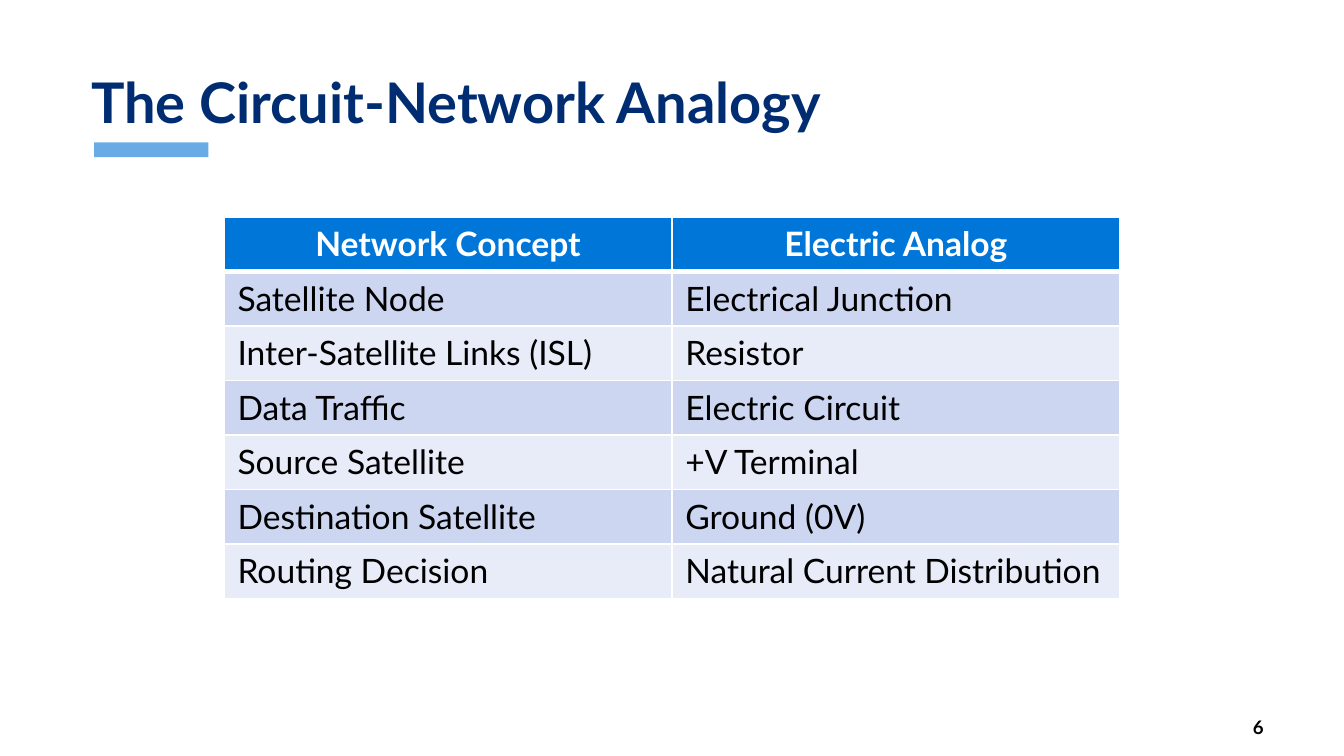
"""Build a slide with a table that maps network concepts to electric analogs."""
from lxml import etree
from pptx import Presentation
from pptx import util as u
from pptx.dml.color import RGBColor
from pptx.enum import shapes, text
from pptx.oxml import ns

TITLE = "The Circuit-Network Analogy"
PAGE_NUMBER = "6"
ROWS = [
    ("Network Concept", "Electric Analog"),
    ("Satellite Node", "Electrical Junction"),
    ("Inter-Satellite Links (ISL)", "Resistor"),
    ("Data Traffic", "Electric Circuit"),
    ("Source Satellite", "+V Terminal"),
    ("Destination Satellite", "Ground (0V)"),
    ("Routing Decision", "Natural Current Distribution"),
]

FONT = "Lato"
NAVY = RGBColor(0x00, 0x2D, 0x72)
SKY = RGBColor(0x69, 0xAC, 0xE5)
HEADER_BLUE = RGBColor(0x00, 0x77, 0xD8)
BANDS = (RGBColor(0xCC, 0xD6, 0xF0), RGBColor(0xE7, 0xEC, 0xF8))
WHITE = RGBColor(0xFF, 0xFF, 0xFF)
BLACK = RGBColor(0x00, 0x00, 0x00)

SLIDE_WIDTH, SLIDE_HEIGHT = u.Cm(25.4), u.Cm(14.29)
TABLE_TOP, TABLE_WIDTH, ROW_HEIGHT = u.Cm(4.1), u.Cm(16.93), u.Cm(1.03)


def write(frame, content, size=18, color=BLACK, bold=False,
          align=text.PP_ALIGN.LEFT, anchor=text.MSO_ANCHOR.TOP, spacing=1.0):
    frame.text = content
    frame.vertical_anchor = anchor
    paragraph = frame.paragraphs[0]
    paragraph.alignment = align
    paragraph.line_spacing = spacing
    font = paragraph.runs[0].font
    font.name, font.size, font.bold = FONT, u.Pt(size), bold
    font.color.rgb = color


def set_borders(cell, widths):
    properties = cell._tc.get_or_add_tcPr()
    for side, width in widths.items():
        line = etree.SubElement(properties, ns.qn(f"a:ln{side}"), w=str(u.Pt(width)))
        fill = etree.SubElement(line, ns.qn("a:solidFill"))
        etree.SubElement(fill, ns.qn("a:srgbClr"), val=str(WHITE))


def add_analogy_table(slide):
    left = (SLIDE_WIDTH - TABLE_WIDTH) // 2
    table = slide.shapes.add_table(len(ROWS), len(ROWS[0]), left, TABLE_TOP,
                                   TABLE_WIDTH, ROW_HEIGHT * len(ROWS)).table
    for row_index, row in enumerate(ROWS):
        table.rows[row_index].height = ROW_HEIGHT
        header = row_index == 0
        borders = {"L": 1, "R": 1, "T": 3 if row_index == 1 else 1, "B": 3 if header else 1}
        for column_index, content in enumerate(row):
            cell = table.cell(row_index, column_index)
            set_borders(cell, borders)
            cell.fill.solid()
            cell.fill.fore_color.rgb = HEADER_BLUE if header else BANDS[(row_index - 1) % 2]
            write(cell.text_frame, content, bold=header, color=WHITE if header else BLACK,
                  align=text.PP_ALIGN.CENTER if header else text.PP_ALIGN.LEFT)


def main():
    presentation = Presentation()
    presentation.slide_width, presentation.slide_height = SLIDE_WIDTH, SLIDE_HEIGHT
    slide = presentation.slides.add_slide(presentation.slide_layouts[5])

    title = slide.shapes.title
    title.left, title.top, title.width, title.height = u.Cm(1.47), u.Cm(0.3), u.Cm(22.45), u.Cm(2.39)
    write(title.text_frame, TITLE, size=30, color=NAVY, bold=True,
          anchor=text.MSO_ANCHOR.BOTTOM, spacing=0.9)

    accent = slide.shapes.add_shape(shapes.MSO_SHAPE.RECTANGLE,
                                    u.Cm(1.78), u.Cm(2.69), u.Cm(2.16), u.Cm(0.28))
    accent.shadow.inherit = False
    accent.fill.solid()
    accent.fill.fore_color.rgb = SKY
    accent.line.fill.background()

    add_analogy_table(slide)

    number = slide.shapes.add_textbox(u.Cm(21.92), u.Cm(13.51), u.Cm(2.21), u.Cm(0.48))
    write(number.text_frame, PAGE_NUMBER, size=10, bold=True,
          align=text.PP_ALIGN.RIGHT, anchor=text.MSO_ANCHOR.MIDDLE)
    number.text_frame.word_wrap = True

    presentation.save("out.pptx")


if __name__ == "__main__":
    main()
